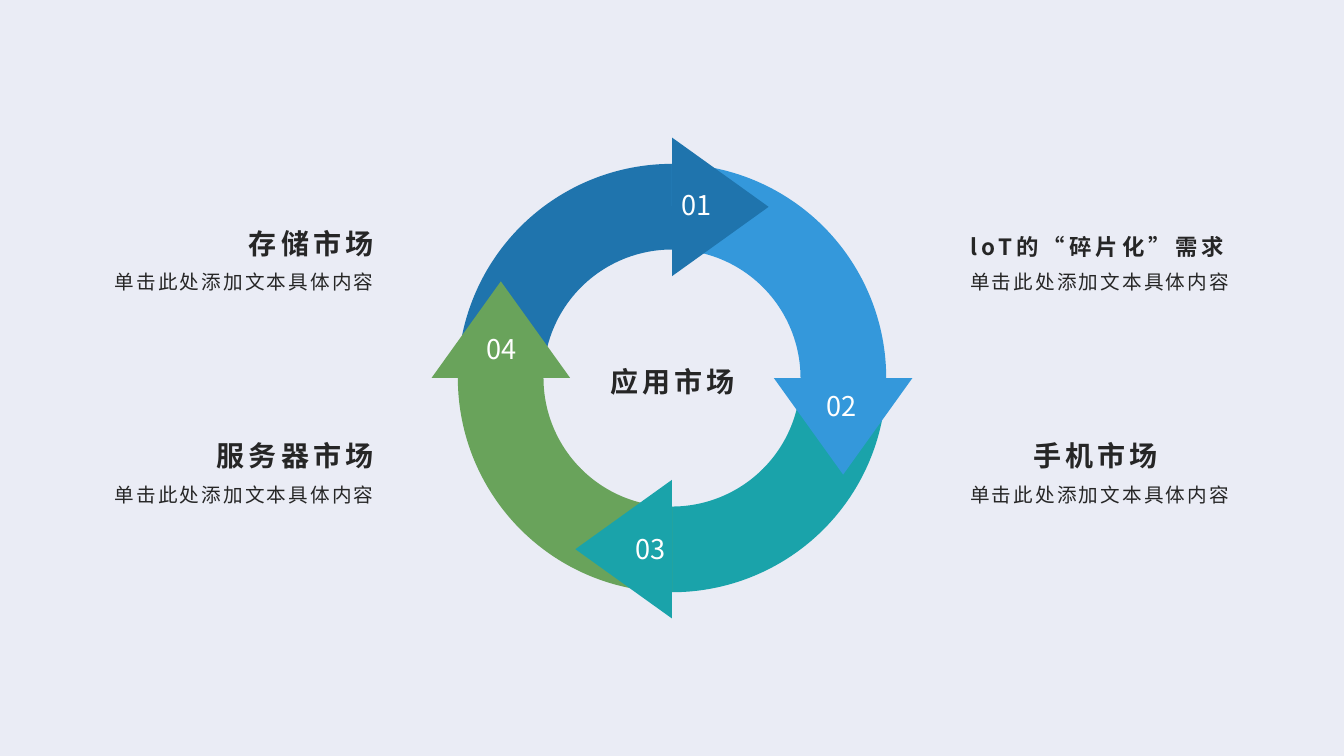
from lxml.etree import SubElement
from pptx import Presentation
from pptx.dml.color import RGBColor
from pptx.enum.shapes import MSO_SHAPE as Shape
from pptx.enum.text import MSO_ANCHOR as Anchor, MSO_AUTO_SIZE as AutoSize, PP_ALIGN as Align
from pptx.oxml.ns import qn
from pptx.util import Pt

PX = 9525
FONT = "Noto Sans CJK SC"
COLORS = {
    "background": "EAECF5",
    "ink": "262626",
    "white": "FFFFFF",
    "navy": "1F74AD",
    "blue": "3498DB",
    "teal": "1AA3AA",
    "green": "69A35B",
}
CENTER_X, CENTER_Y = 640, 360
RING = 408
HEAD_WIDTH, HEAD_LENGTH = 132, 92
HEAD_RADIUS = 163
QUARTER_TURNS = [(1, 0), (0, 1), (-1, 0), (0, -1)]
STEPS = [
    ("01", "navy", 639, 168),
    ("02", "blue", 777, 360),
    ("03", "teal", 595, 496),
    ("04", "green", 453, 305),
]
DETAIL = "单击此处添加文本具体内容"
LEFT_X, RIGHT_X = 88, 914
UPPER_Y, LOWER_Y = 195, 397
MARKETS = [
    ("存储市场", LEFT_X, UPPER_Y, Align.RIGHT, 20, 0),
    ("loT的“碎片化”需求", RIGHT_X, UPPER_Y, Align.LEFT, 16, 0),
    ("服务器市场", LEFT_X, LOWER_Y, Align.RIGHT, 20, 0),
    ("手机市场", RIGHT_X, LOWER_Y, Align.LEFT, 20, 60),
]


def px(*lengths):
    return [length * PX for length in lengths]


def rgb(name):
    return RGBColor.from_string(COLORS[name])


def write(box, text, size, color="ink", bold=False, spacing=0, align=Align.LEFT,
          anchor=Anchor.TOP, top=5, bottom=5, indent=0):
    frame = box.text_frame
    frame.word_wrap = True
    frame.auto_size = AutoSize.NONE
    frame.vertical_anchor = anchor
    frame.margin_left, frame.margin_right = px(10, 10)
    frame.margin_top, frame.margin_bottom = px(top, bottom)
    paragraph = frame.paragraphs[0]
    paragraph.alignment = align
    paragraph.line_spacing = 1.2
    if indent:
        paragraph._p.get_or_add_pPr().set("marL", str(indent * PX))
    run = paragraph.add_run()
    run.text = text
    run.font.name = FONT
    run.font.size = Pt(size)
    run.font.bold = bold
    run.font.color.rgb = rgb(color)
    properties = run._r.get_or_add_rPr()
    properties.set("spc", str(int(spacing * 100)))
    SubElement(properties, qn("a:ea")).set("typeface", FONT)


def add_label(slide, bounds, text, size, **style):
    write(slide.shapes.add_textbox(*px(*bounds)), text, size, **style)


def add_solid(slide, kind, bounds, color, rotation):
    solid = slide.shapes.add_shape(kind, *px(*bounds))
    solid.shadow.inherit = False
    solid.fill.solid()
    solid.fill.fore_color.rgb = rgb(color)
    solid.line.fill.background()
    solid.rotation = rotation % 360
    return solid


def add_arc(slide, turn, color):
    bounds = (CENTER_X - RING // 2, CENTER_Y - RING // 2, RING, RING)
    arc = add_solid(slide, Shape.BLOCK_ARC, bounds, color, 180 + 90 * turn)
    for index, value in enumerate((0, 54, 0.2)):
        arc.adjustments[index] = value


def add_head(slide, turn, color):
    along_x, along_y = QUARTER_TURNS[turn]
    middle_x = CENTER_X + along_x * HEAD_LENGTH // 2 + along_y * HEAD_RADIUS
    middle_y = CENTER_Y + along_y * HEAD_LENGTH // 2 - along_x * HEAD_RADIUS
    bounds = (middle_x - HEAD_WIDTH // 2, middle_y - HEAD_LENGTH // 2,
              HEAD_WIDTH, HEAD_LENGTH)
    add_solid(slide, Shape.ISOSCELES_TRIANGLE, bounds, color, 90 + 90 * turn)


def add_cycle(slide):
    for turn, (_, color, _, _) in enumerate(STEPS):
        add_arc(slide, turn, color)
    for turn, (number, color, left, top) in enumerate(STEPS):
        add_head(slide, turn, color)
        add_label(slide, (left, top, 51, 55), number, 19.4, color="white")


def add_market(slide, name, left, top, align, size, indent):
    add_label(slide, (left, top, 278, 53), name, size, bold=True, spacing=3,
              align=align, anchor=Anchor.BOTTOM, bottom=0, indent=indent)
    add_label(slide, (left, top + 58, 278, 70), DETAIL, 14, spacing=1.5,
              align=align, top=0)


def place_title(slide, text):
    title = slide.shapes.title
    title.left, title.top, title.width, title.height = px(552, 333, 177, 54)
    write(title, text, 20, bold=True, spacing=3, align=Align.CENTER,
          anchor=Anchor.MIDDLE)


def main():
    deck = Presentation()
    deck.slide_width, deck.slide_height = px(1280, 720)
    slide = deck.slides.add_slide(deck.slide_layouts[5])
    slide.background.fill.solid()
    slide.background.fill.fore_color.rgb = rgb("background")
    place_title(slide, "应用市场")
    add_cycle(slide)
    for market in MARKETS:
        add_market(slide, *market)
    deck.save("out.pptx")


if __name__ == "__main__":
    main()
